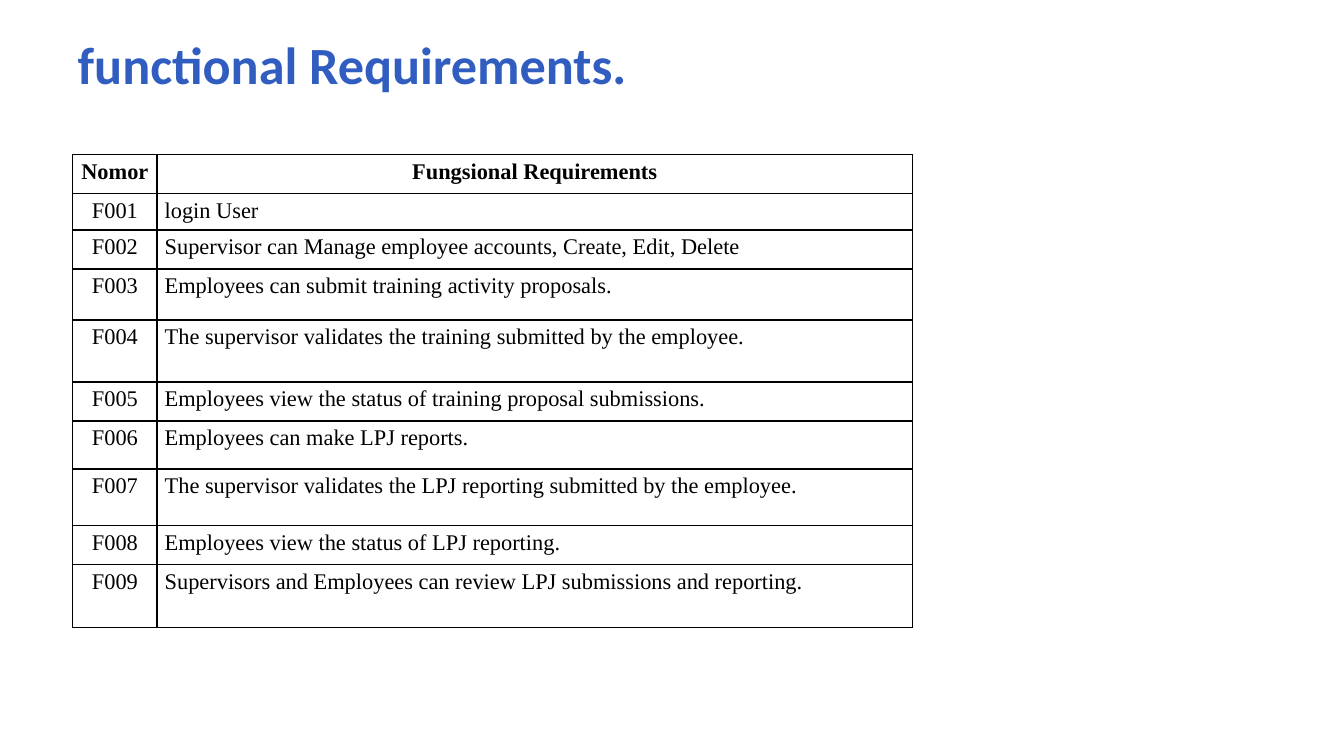
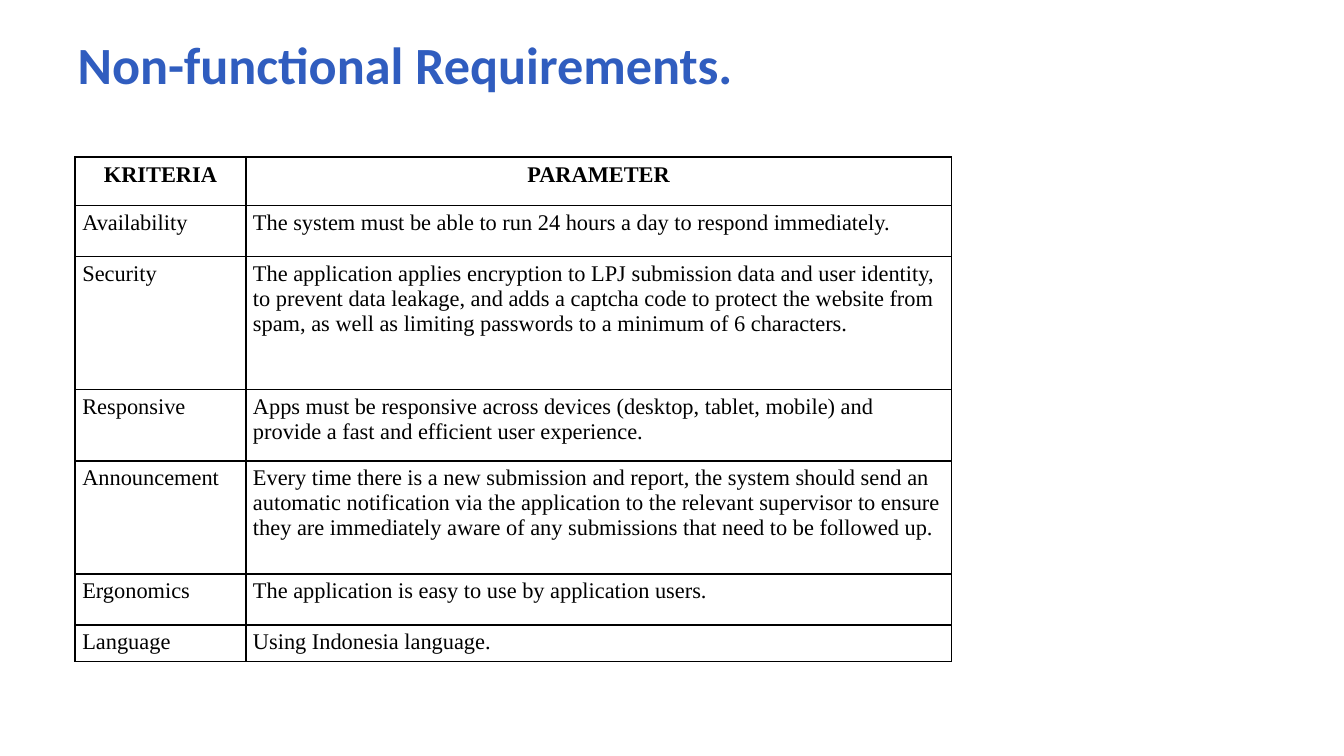
from lxml.etree import SubElement
from pptx import Presentation
from pptx.dml.color import RGBColor
from pptx.enum.text import MSO_ANCHOR, PP_ALIGN
from pptx.oxml.ns import qn
from pptx.util import Inches, Pt

WIDTH = Inches(10)
HEIGHT = WIDTH * 9 // 16
TITLE_BLUE, BLACK, WHITE = "305DBF", "000000", "FFFFFF"
LEFT, CENTER, JUSTIFY = PP_ALIGN.LEFT, PP_ALIGN.CENTER, PP_ALIGN.JUSTIFY


def color(hex_code):
    return RGBColor.from_string(hex_code)


def write(frame, text, font="Times New Roman", size=12, fill=BLACK, bold=False,
          align=LEFT, before=0, after=0):
    para = frame.paragraphs[0]
    para.alignment = align
    para.space_before, para.space_after = Pt(before), Pt(after)
    span = para.add_run()
    span.text = text
    span.font.name, span.font.size, span.font.bold = font, Pt(size), bold
    span.font.color.rgb = color(fill)


functional = [
    "login User",
    "Supervisor can Manage employee accounts, Create, Edit, Delete",
    "Employees can submit training activity proposals.",
    "The supervisor validates the training submitted by the employee.",
    "Employees view the status of training proposal submissions.",
    "Employees can make LPJ reports.",
    "The supervisor validates the LPJ reporting submitted by the employee.",
    "Employees view the status of LPJ reporting.",
    "Supervisors and Employees can review LPJ submissions and reporting.",
]
non_functional = [
    ("Availability", "The system must be able to run 24 hours a day to respond immediately."),
    ("Security", "The application applies encryption to LPJ submission data and user identity, "
     "to prevent data leakage, and adds a captcha code to protect the website from spam, "
     "as well as limiting passwords to a minimum of 6 characters."),
    ("Responsive", "Apps must be responsive across devices (desktop, tablet, mobile) and "
     "provide a fast and efficient user experience."),
    ("Announcement", "Every time there is a new submission and report, the system should send "
     "an automatic notification via the application to the relevant supervisor to ensure they "
     "are immediately aware of any submissions that need to be followed up."),
    ("Ergonomics", "The application is easy to use by application users."),
    ("Language", "Using Indonesia language."),
]

slides = [
    dict(title="functional Requirements.",
         header=("Nomor", "Fungsional Requirements"),
         body=[(f"F{number:03}", text) for number, text in enumerate(functional, 1)],
         corner=(0.54, 1.15), columns=(0.63, 5.62),
         rows=(0.29, 0.26, 0.29, 0.38, 0.46, 0.29, 0.36, 0.42, 0.29, 0.47),
         key_align=CENTER, side_inset=4, spacing=dict(before=12)),
    dict(title="Non-functional Requirements.",
         header=("KRITERIA", "PARAMETER"),
         body=non_functional,
         corner=(0.56, 1.17), columns=(1.27, 5.25),
         rows=(0.36, 0.38, 0.99, 0.53, 0.84, 0.38, 0.26),
         key_align=JUSTIFY, side_inset=3.8, spacing=dict(before=3, after=3)),
]

deck = Presentation()
deck.slide_width, deck.slide_height = WIDTH, HEIGHT

for content in slides:
    page = deck.slides.add_slide(deck.slide_layouts[6])
    page.background.fill.solid()
    page.background.fill.fore_color.rgb = color(WHITE)

    title_box = page.shapes.add_textbox(Inches(0.48), 0, Inches(7.42), Inches(0.94))
    frame = title_box.text_frame
    frame.word_wrap = True
    frame.vertical_anchor = MSO_ANCHOR.MIDDLE
    frame.margin_left = frame.margin_right = Inches(0.1)
    frame.margin_top = frame.margin_bottom = Inches(0.1)
    write(frame, content["title"], font="Calibri", size=28, fill=TITLE_BLUE, bold=True)

    columns, rows = content["columns"], content["rows"]
    left, top = content["corner"]
    table = page.shapes.add_table(
        len(rows), len(columns), Inches(left), Inches(top),
        Inches(sum(columns)), Inches(sum(rows))).table
    table.first_row = table.horz_banding = False
    for column, width in zip(table.columns, columns):
        column.width = Inches(width)
    for row, height in zip(table.rows, rows):
        row.height = Inches(height)

    for row_index, texts in enumerate([content["header"], *content["body"]]):
        is_header = row_index == 0
        aligns = (CENTER, CENTER) if is_header else (content["key_align"], LEFT)
        for column_index, (text, align) in enumerate(zip(texts, aligns)):
            cell = table.cell(row_index, column_index)
            write(cell.text_frame, text, bold=is_header, align=align, **content["spacing"])
            cell.margin_left = cell.margin_right = Pt(content["side_inset"])
            cell.margin_top = cell.margin_bottom = Pt(2.6)
            properties = cell._tc.get_or_add_tcPr()
            for side in ("lnL", "lnR", "lnT", "lnB"):
                border = SubElement(properties, qn(f"a:{side}"), w=str(Pt(1)))
                SubElement(SubElement(border, qn("a:solidFill")), qn("a:srgbClr"), val=BLACK)
            cell.fill.background()

deck.save("out.pptx")
